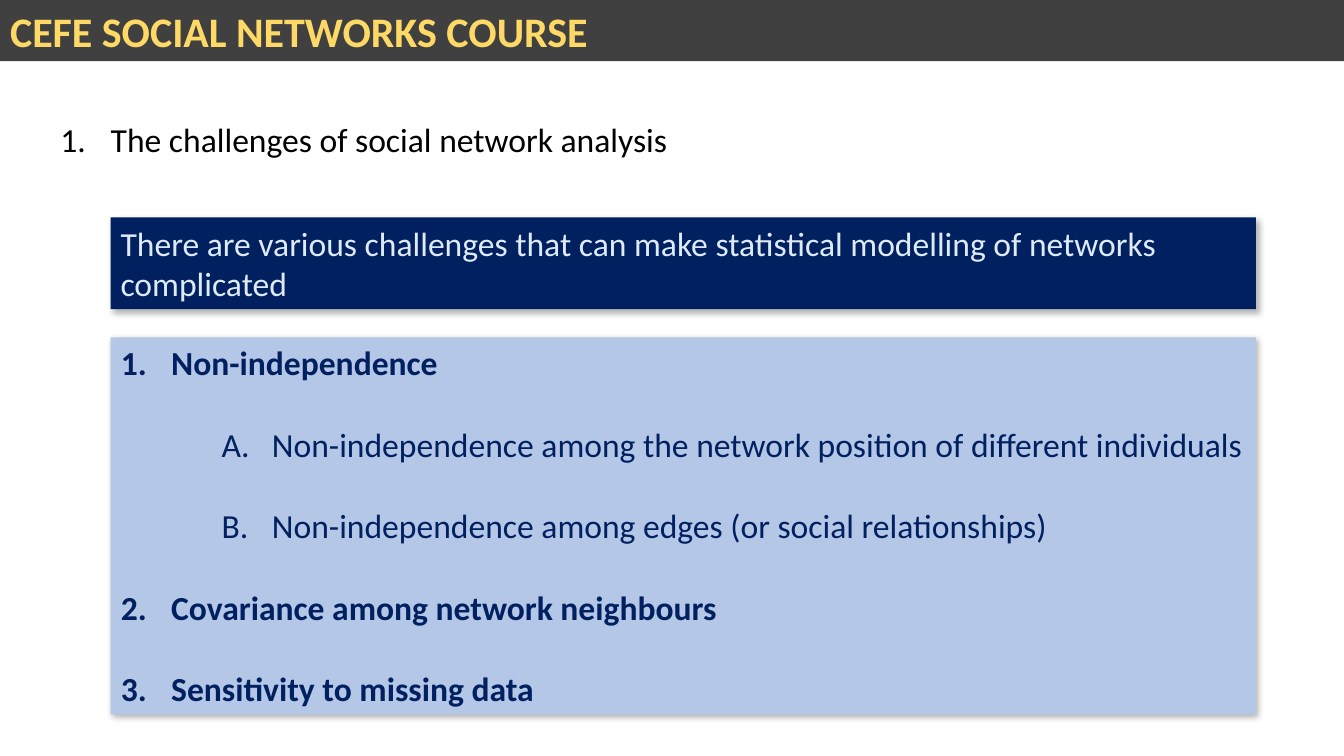
from pptx import Presentation
from pptx.dml.color import RGBColor
from pptx.enum.shapes import MSO_SHAPE
from pptx.enum.text import MSO_ANCHOR, MSO_AUTO_SIZE, PP_ALIGN
from pptx.oxml import parse_xml
from pptx.oxml.ns import nsdecls, qn
from pptx.util import Cm, Pt

RECT = MSO_SHAPE.RECTANGLE
TOP, MID = MSO_ANCHOR.TOP, MSO_ANCHOR.MIDDLE
FIXED = MSO_AUTO_SIZE.NONE
LEFT = PP_ALIGN.LEFT

TITLE = "CEFE SOCIAL NETWORKS COURSE"
TOPIC = "The challenges of social network analysis"
CLAIM = ("There are various challenges that can make statistical "
         "modelling of networks complicated")
ITEMS = [
    ("Non-independence", 0),
    ("Non-independence among the network position of different individuals", 2),
    ("Non-independence among edges (or social relationships)", 2),
    ("Covariance among network neighbours", 0),
    ("Sensitivity to missing data", 0),
]
FONT, SIZE = "Calibri", 24
NAVY = "002060"
WIDE, HIGH = 33.87, 19.05
EDGE, SPAN = 2.79, 28.86
STEP = 1.27
GAP = 29.3


def color(code):
    return RGBColor.from_string(code)


def place(shape, left, top, width, height, anchor=TOP):
    shape.left, shape.top = Cm(left), Cm(top)
    shape.width, shape.height = Cm(width), Cm(height)
    frame = shape.text_frame
    frame.word_wrap = True
    frame.auto_size = FIXED
    frame.vertical_anchor = anchor
    return frame


def paint(shape, code, shade=True):
    shape.fill.solid()
    shape.fill.fore_color.rgb = color(code)
    shape.line.fill.background()
    shape.shadow.inherit = False
    if shade:
        effect = shape._element.spPr.find(qn("a:effectLst"))
        effect.append(parse_xml(
            f'<a:outerShdw {nsdecls("a")} blurRad="57150" dist="33020" '
            'dir="3180000" algn="ctr" rotWithShape="0"><a:srgbClr val="000000">'
            '<a:alpha val="30000"/></a:srgbClr></a:outerShdw>'))


def write(para, text, code, size=SIZE, bold=False, gap=0):
    para.alignment = LEFT
    para.space_before = Pt(gap)
    run = para.add_run()
    run.text = text
    font = run.font
    font.name, font.size, font.bold = FONT, Pt(size), bold
    font.color.rgb = color(code)


def number(para, level=0):
    para.level = level
    props = para._p.get_or_add_pPr()
    props.set("marL", str(Cm(STEP * (level + 1))))
    props.set("indent", str(-Cm(STEP)))
    style = "alphaUcPeriod" if level else "arabicPeriod"
    props.append(parse_xml(f'<a:buFont {nsdecls("a")} typeface="+mj-lt"/>'))
    props.append(parse_xml(f'<a:buAutoNum {nsdecls("a")} type="{style}"/>'))


deck = Presentation()
deck.slide_width, deck.slide_height = Cm(WIDE), Cm(HIGH)
slide = deck.slides.add_slide(deck.slide_layouts[1])
title, body = slide.placeholders

frame = place(title, 0, 0, WIDE, 1.54, MID)
paint(title, "404040", shade=False)
write(frame.paragraphs[0], TITLE, "FFD966", 30, True)

claim = slide.shapes.add_shape(RECT, 0, 0, 0, 0)
frame = place(claim, EDGE, 5.48, SPAN, 2.31)
paint(claim, NAVY)
write(frame.paragraphs[0], CLAIM, "DEEBF7")

frame = place(body, EDGE, 8.5, SPAN, 9.5)
paint(body, "B4C7E7")
for i, (text, level) in enumerate(ITEMS):
    para = frame.add_paragraph() if i else frame.paragraphs[0]
    number(para, level)
    write(para, text, NAVY, bold=not level, gap=GAP if i else 0)

topic = slide.shapes.add_textbox(0, 0, 0, 0)
frame = place(topic, STEP, 2.87, 17.15, 1.27)
number(frame.paragraphs[0])
write(frame.paragraphs[0], TOPIC, "000000")

deck.save("out.pptx")
